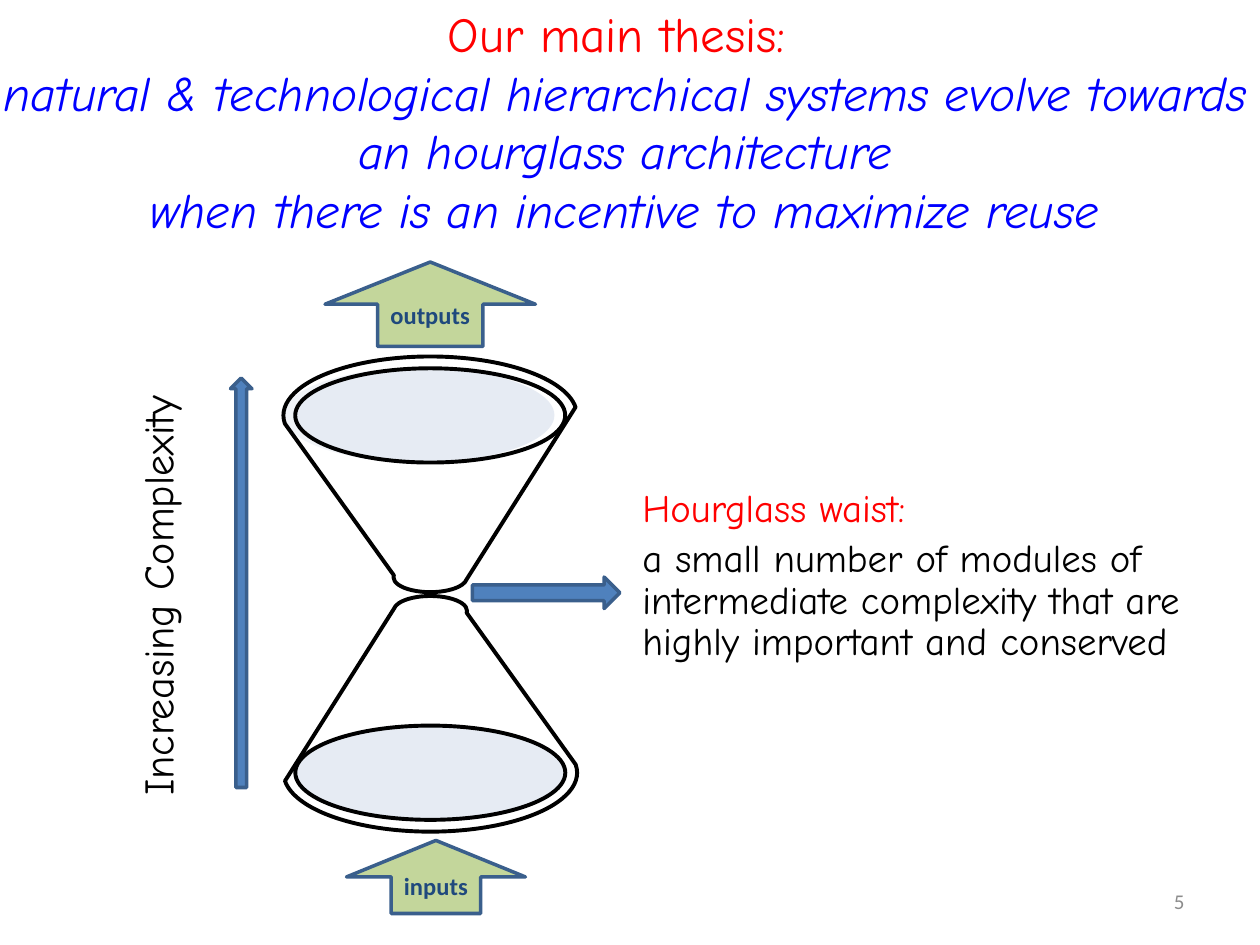
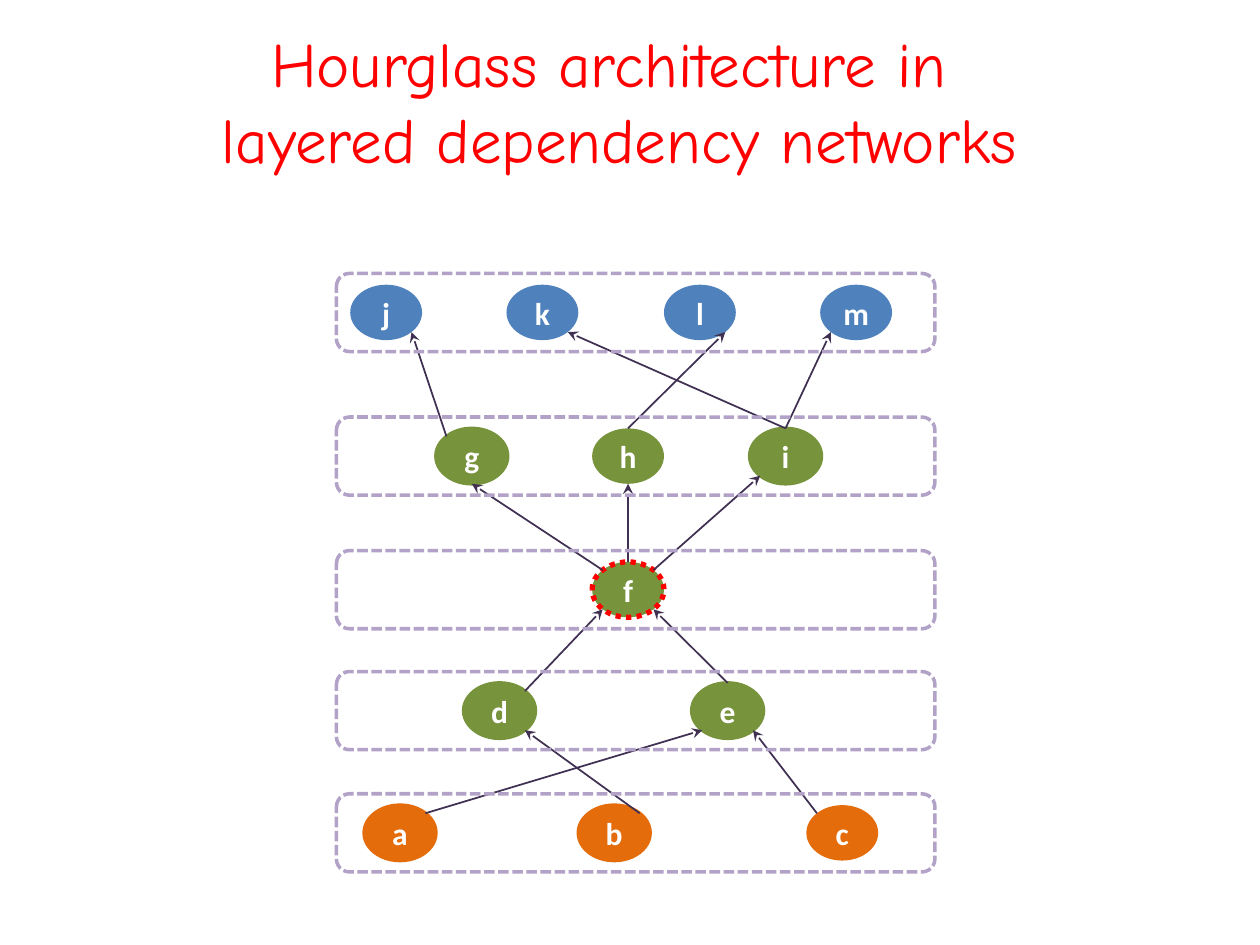
import math

import pptx
import pptx.dml.color
import pptx.enum.dml
import pptx.enum.shapes
import pptx.enum.text
import pptx.oxml
import pptx.oxml.ns
import pptx.util
from pptx.util import Inches

SHAPES = pptx.enum.shapes.MSO_SHAPE
ALIGN = pptx.enum.text.PP_ALIGN
ANCHOR = pptx.enum.text.MSO_ANCHOR
DASH = pptx.enum.dml.MSO_LINE

HAND, SANS = "Comic Neue", "Calibri"
RED, BLUE, BLACK, WHITE = "FF0000", "0000FF", "000000", "FFFFFF"
STEEL, STEEL_EDGE, NAVY, LIME = "4F81BD", "3A5F8C", "1F497D", "C3D69B"
GLASS, GREEN, ORANGE = "C2CDE1", "77933C", "E46C0A"
LAVENDER, PLUM, GREY = "B3A2C7", "403152", "8C8C8C"

NODE_WIDTH, NODE_HEIGHT = 0.57, 0.44
BAND_WIDTH, BAND_HEIGHT = 4.75, 0.62
LAYERS = [
    (0, STEEL, {"j": 0.11, "k": 1.35, "l": 2.6, "m": 3.84}),
    (1.14, GREEN, {"g": 0.79, "h": 2.03, "i": 3.28}),
    (2.2, GREEN, {"f": 2.03}),
    (3.16, GREEN, {"d": 1.01, "e": 2.82}),
    (4.13, ORANGE, {"a": 0.22, "b": 1.92, "c": 3.73}),
]
EDGED_NODES = "abdegi"
DIAGONAL = math.sqrt(0.5)
SITES = {
    "top": (0, -1),
    "bottom": (0, 1),
    "top left": (-DIAGONAL, -DIAGONAL),
    "top right": (DIAGONAL, -DIAGONAL),
    "bottom left": (-DIAGONAL, DIAGONAL),
    "bottom right": (DIAGONAL, DIAGONAL),
}
DEPENDENCIES = [
    ("a", "top right", "e", "bottom left"),
    ("h", "top", "l", "bottom right"),
    ("f", "top left", "g", "bottom"),
    ("b", "top right", "d", "bottom right"),
    ("d", "top right", "f", "bottom left"),
    ("f", "top", "h", "bottom"),
    ("e", "top", "f", "bottom right"),
    ("c", "top left", "e", "bottom right"),
    ("i", "top", "m", "bottom left"),
    ("i", "top", "k", "bottom right"),
    ("f", "top right", "i", "bottom left"),
    ("g", "top left", "j", "bottom right"),
]


def colour(hex_text):
    """Turn a hex string into a colour."""
    return pptx.dml.color.RGBColor.from_string(hex_text)


def place(shape, left, top, width, height):
    """Set a shape's box in inches."""
    shape.left, shape.top = Inches(left), Inches(top)
    shape.width, shape.height = Inches(width), Inches(height)


def style_font(font, size, name, hex_text, bold=False):
    """Set size, family, colour and weight of a font."""
    font.size, font.name, font.bold = pptx.util.Pt(size), name, bold
    font.color.rgb = colour(hex_text)


def add_shape(slide, kind, box, fill=None, line=None, width=2, dash=None, opacity=None):
    """Add a flat preset shape with an optional fill and outline."""
    shape = slide.shapes.add_shape(kind, *map(Inches, box))
    shape.shadow.inherit = False
    if fill:
        shape.fill.solid()
        shape.fill.fore_color.rgb = colour(fill)
    else:
        shape.fill.background()
    if opacity:
        tint = shape.fill._xPr.find(".//" + pptx.oxml.ns.qn("a:srgbClr"))
        tint.append(pptx.oxml.parse_xml(
            f'<a:alpha {pptx.oxml.ns.nsdecls("a")} val="{opacity * 1000}"/>'))
    if line:
        shape.line.color.rgb = colour(line)
        shape.line.width = pptx.util.Pt(width)
        if dash:
            shape.line.dash_style = dash
    else:
        shape.line.fill.background()
    return shape


def label(shape, text, size, hex_text):
    """Write a bold centred word in a shape."""
    frame = shape.text_frame
    frame.word_wrap = False
    frame.vertical_anchor = ANCHOR.MIDDLE
    paragraph = frame.paragraphs[0]
    paragraph.text, paragraph.alignment = text, ALIGN.CENTER
    style_font(paragraph.font, size, SANS, hex_text, bold=True)


def add_text(slide, box, lines, size, name=HAND, align=ALIGN.LEFT, spacing=1.0):
    """Add a wrapping text box with one paragraph for each text and colour."""
    textbox = slide.shapes.add_textbox(*map(Inches, box))
    frame = textbox.text_frame
    frame.word_wrap = True
    for index, (text, hex_text) in enumerate(lines):
        paragraph = frame.add_paragraph() if index else frame.paragraphs[0]
        paragraph.text, paragraph.alignment = text, align
        paragraph.line_spacing = spacing
        if index:
            paragraph.space_before = pptx.util.Pt(size * 0.2)
        style_font(paragraph.font, size, name, hex_text)
    return textbox


def add_titled_slide(presentation, box, size, lines):
    """Add a title-only slide whose title has lines of text, colour and slant."""
    slide = presentation.slides.add_slide(presentation.slide_layouts[5])
    title = slide.shapes.title
    place(title, *box)
    frame = title.text_frame
    frame.word_wrap = True
    frame.auto_size = pptx.enum.text.MSO_AUTO_SIZE.NONE
    frame.vertical_anchor = ANCHOR.MIDDLE
    paragraph = frame.paragraphs[0]
    paragraph.alignment = ALIGN.CENTER
    style_font(paragraph.font, size, HAND, RED)
    for index, (text, hex_text, italic) in enumerate(lines):
        if index:
            paragraph.add_line_break()
        run = paragraph.add_run()
        run.text, run.font.italic = text, italic
        style_font(run.font, size, HAND, hex_text)
    return slide


def draw_hourglass(slide, left, top):
    """Draw two funnels that meet at the waist, with their flow arrows."""
    halves = [(0, 0.84, 0.75, 0), (0.1, 3.67, 2.65, 180)]
    for glass_left, glass_top, funnel_top, rotation in halves:
        add_shape(slide, SHAPES.OVAL, (left + glass_left, top + glass_top, 2.15, 0.75),
                  GLASS, opacity=40)
        funnel = add_shape(slide, SHAPES.FUNNEL, (left, top + funnel_top, 2.33, 1.87),
                           WHITE, BLACK, 2.25, opacity=40)
        funnel.rotation = rotation
    flows = [("inputs", (left + 0.5, top + 4.59, 1.42, 0.58)),
             ("outputs", (left + 0.33, top, 1.67, 0.67))]
    for text, box in flows:
        label(add_shape(slide, SHAPES.UP_ARROW, box, LIME, STEEL_EDGE), text, 14, NAVY)
    add_shape(slide, SHAPES.RIGHT_ARROW, (left + 1.5, top + 2.5, 1.17, 0.25),
              STEEL, STEEL_EDGE)


def draw_complexity_axis(slide, left, top):
    """Draw the upward arrow and the sideways wording beside it."""
    add_shape(slide, SHAPES.UP_ARROW, (left, top, 0.17, 3.25), STEEL, STEEL_EDGE)
    caption = add_text(slide, (left - 2.5, top + 1, 4.08, 0.75),
                       [("Increasing Complexity", BLACK)], 24)
    caption.rotation = 270


def build_thesis_slide(presentation):
    """Build the slide that states the thesis beside an hourglass."""
    slide = add_titled_slide(presentation, (-0.25, 0.25, 10.42, 1.42), 28, [
        ("Our main thesis: ", RED, False),
        ("natural & technological hierarchical systems evolve towards "
         "an hourglass architecture", BLUE, True),
        ("when there is an incentive to maximize reuse", BLUE, True),
    ])
    number = add_text(slide, (7.17, 6.95, 2.33, 0.4), [("5", GREY)], 12, SANS, ALIGN.RIGHT)
    number.text_frame.vertical_anchor = ANCHOR.MIDDLE
    draw_hourglass(slide, 2.25, 2.08)
    draw_complexity_axis(slide, 1.83, 3)
    add_text(slide, (5, 3.83, 4.5, 2), [
        ("Hourglass waist:", RED),
        ("a small number of modules of intermediate complexity "
         "that are highly important and conserved", BLACK),
    ], 22.2, spacing=0.9)


def add_node(slide, name, left, top, fill):
    """Add a lettered node and return its centre."""
    edge = {"line": fill} if name in EDGED_NODES else {}
    if name == "f":
        edge = {"line": RED, "width": 3, "dash": DASH.ROUND_DOT}
    node = add_shape(slide, SHAPES.OVAL, (left, top, NODE_WIDTH, NODE_HEIGHT), fill, **edge)
    label(node, name, 18, WHITE)
    return left + NODE_WIDTH / 2, top + NODE_HEIGHT / 2


def site_point(centre, site):
    """Find a point on a node's rim."""
    across, down = SITES[site]
    return (Inches(centre[0] + across * NODE_WIDTH / 2),
            Inches(centre[1] + down * NODE_HEIGHT / 2))


def add_dependency(slide, start, end):
    """Add a thin arrow between two points."""
    connector = slide.shapes.add_connector(
        pptx.enum.shapes.MSO_CONNECTOR.STRAIGHT, *start, *end)
    connector.line.color.rgb = colour(PLUM)
    connector.line.width = pptx.util.Pt(1)
    namespace = pptx.oxml.ns.nsdecls("a")
    connector.line._get_or_add_ln().append(
        pptx.oxml.parse_xml(f'<a:tailEnd {namespace} type="stealth"/>'))
    connector._element.spPr.append(pptx.oxml.parse_xml(f"<a:effectLst {namespace}/>"))


def draw_network(slide, left, top):
    """Draw the layered nodes, their dependencies and the layer bands."""
    centres = {}
    for offset, fill, nodes in LAYERS:
        node_top = top + offset + (BAND_HEIGHT - NODE_HEIGHT) / 2
        for name, node_left in nodes.items():
            centres[name] = add_node(slide, name, left + node_left, node_top, fill)
    for source, source_site, target, target_site in DEPENDENCIES:
        add_dependency(slide, site_point(centres[source], source_site),
                       site_point(centres[target], target_site))
    for offset, _, _ in LAYERS:
        add_shape(slide, SHAPES.ROUNDED_RECTANGLE,
                  (left, top + offset, BAND_WIDTH, BAND_HEIGHT),
                  line=LAVENDER, dash=DASH.SQUARE_DOT)


def build_network_slide(presentation):
    """Build the slide with the layered dependency network."""
    slide = add_titled_slide(presentation, (0.25, 0.17, 9.33, 1.25), 36, [
        ("Hourglass architecture in ", RED, False),
        ("layered dependency networks", RED, False),
    ])
    draw_network(slide, 2.67, 2.17)


def main():
    """Build and save the presentation."""
    presentation = pptx.Presentation()
    presentation.slide_width, presentation.slide_height = Inches(10), Inches(7.5)
    build_thesis_slide(presentation)
    build_network_slide(presentation)
    presentation.save("out.pptx")


if __name__ == "__main__":
    main()
